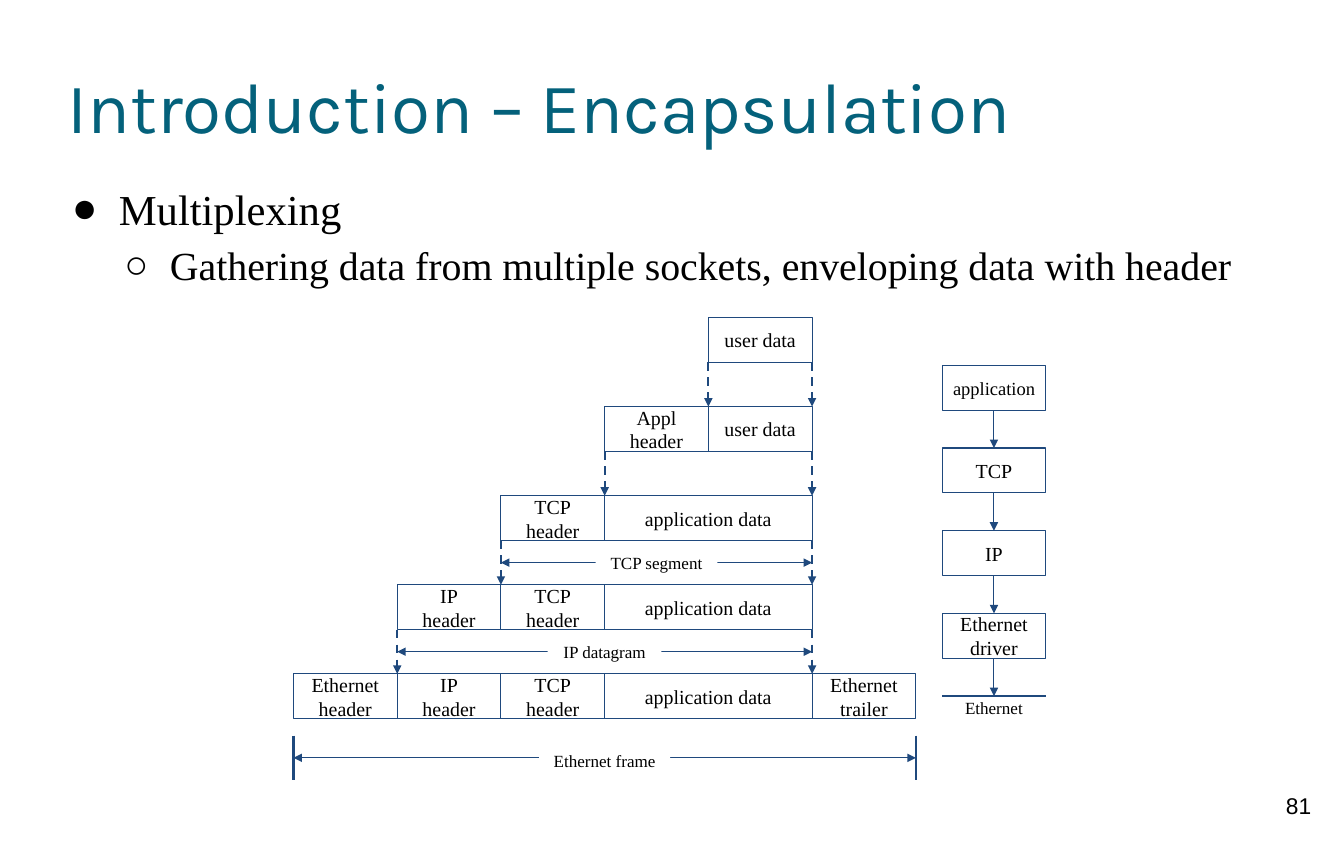
from lxml.etree import SubElement
from pptx import Presentation
from pptx.dml.color import RGBColor
from pptx.enum.dml import MSO_LINE
from pptx.enum.shapes import MSO_CONNECTOR, MSO_SHAPE
from pptx.enum.text import MSO_ANCHOR, PP_ALIGN
from pptx.oxml.ns import qn
from pptx.util import Pt

COLOURS = {"title": "04617B", "text": "000000", "line": "1F497D", "paper": "FFFFFF"}
SERIF = "Times New Roman"
INSET = 7.2

# Grid of the packet layers
GRID_LEFT, GRID_TOP = 206.3, 223.2
COLUMN, ROW_STEP, BOX_HEIGHT = 72.9, 62.64, 31.5
DATA_START, DATA_END, FRAME_END = 4, 5, 6
LAYERS = [
    [("user data", 1)],
    [("Appl\nheader", 1), ("user data", 1)],
    [("TCP\nheader", 1), ("application data", 2)],
    [("IP\nheader", 1), ("TCP\nheader", 1), ("application data", 2)],
    [("Ethernet\nheader", 1), ("IP\nheader", 1), ("TCP\nheader", 1),
     ("application data", 2), ("Ethernet\ntrailer", 1)],
]

# Protocol stack on the right
STACK_LEFT, STACK_TOP, STACK_STEP = 662.2, 256.8, 58.15
STACK = [("application", 13), ("TCP", 14), ("IP", 14), ("Ethernet\ndriver", 14)]

BULLETS = [
    {"text": "Multiplexing", "size": 30, "mark": "●", "margin": 36, "hang": 33, "level": 0},
    {"text": "Gathering data from multiple sockets, enveloping data with header",
     "size": 28, "mark": "○", "margin": 72, "hang": 32, "level": 1},
]


def colour(name):
    return RGBColor.from_string(COLOURS[name])


def apply_format(target, values):
    for name, value in values.items():
        setattr(target, name, value)


def set_frame(box, inset=INSET, anchor=MSO_ANCHOR.TOP):
    margins = {f"margin_{side}": Pt(inset) for side in ("left", "top", "right", "bottom")}
    apply_format(box.text_frame, {"word_wrap": True, "vertical_anchor": anchor, **margins})


def write(para, text, size, font=SERIF, ink="text", align=PP_ALIGN.CENTER):
    para.alignment = align
    for number, line in enumerate(text.split("\n")):
        if number:
            para.add_line_break()
        span = para.add_run()
        apply_format(span, {"text": line})
        apply_format(span.font, {"size": Pt(size), "name": font})
        span.font.color.rgb = colour(ink)


def add_text(page, left, top, width, height, text, size, inset=INSET,
             anchor=MSO_ANCHOR.TOP, **style):
    box = page.shapes.add_textbox(Pt(left), Pt(top), Pt(width), Pt(height))
    set_frame(box, inset, anchor)
    write(box.text_frame.paragraphs[0], text, size, **style)


def add_box(page, left, top, width, height, text, size=14, label=False):
    """A framed cell, or a white frameless label that interrupts a line."""
    box = page.shapes.add_shape(MSO_SHAPE.RECTANGLE, Pt(left), Pt(top), Pt(width), Pt(height))
    box.shadow.inherit = False
    if label:
        box.fill.solid()
        box.fill.fore_color.rgb = colour("paper")
        box.line.fill.background()
    else:
        box.fill.background()
        box.line.color.rgb = colour("line")
        box.line.width = Pt(0.75)
    set_frame(box, anchor=MSO_ANCHOR.TOP if label else MSO_ANCHOR.MIDDLE)
    write(box.text_frame.paragraphs[0], text, size)


def add_line(page, start, end, width=0.75, dashed=False, heads=()):
    ends = [Pt(value) for value in (*start, *end)]
    line = page.shapes.add_connector(MSO_CONNECTOR.STRAIGHT, *ends)
    line.line.color.rgb = colour("line")
    line.line.width = Pt(width)
    if dashed:
        line.line.dash_style = MSO_LINE.DASH
    properties = line._element.spPr
    for head in heads:
        SubElement(properties.find(qn("a:ln")), qn(f"a:{head}"), type="triangle")
    SubElement(properties, qn("a:effectLst"))


def add_bullets(page):
    box = page.shapes.add_textbox(Pt(47.5), Pt(123.1), Pt(852.5), Pt(75.6))
    set_frame(box, inset=0)
    frame = box.text_frame
    for number, item in enumerate(BULLETS):
        para = frame.add_paragraph() if number else frame.paragraphs[0]
        apply_format(para, {"level": item["level"], "line_spacing": 1.15})
        properties = para._p.get_or_add_pPr()
        properties.set("marL", str(Pt(item["margin"])))
        properties.set("indent", str(-Pt(item["hang"])))
        tint = SubElement(properties, qn("a:buClr"))
        SubElement(tint, qn("a:srgbClr"), val=COLOURS["text"])
        SubElement(properties, qn("a:buFont"), typeface=SERIF)
        SubElement(properties, qn("a:buChar"), char=item["mark"])
        write(para, item["text"], item["size"], align=PP_ALIGN.LEFT)


def column_x(column):
    return GRID_LEFT + column * COLUMN


def row_y(row):
    return GRID_TOP + row * ROW_STEP


def add_layers(page):
    for row, cells in enumerate(LAYERS):
        first = column = DATA_START - row
        for text, columns in cells:
            add_box(page, column_x(column), row_y(row), columns * COLUMN, BOX_HEIGHT, text)
            column += columns
        # Dashed arrows down to the next layer
        if row < len(LAYERS) - 1:
            for edge in (first, DATA_END):
                add_line(page, (column_x(edge), row_y(row) + BOX_HEIGHT),
                         (column_x(edge), row_y(row + 1)), 1.5, True, ["tailEnd"])


def add_range(page, first, last, y, text, width, rise=14.4):
    left, right = column_x(first), column_x(last)
    add_line(page, (left, y), (right, y), heads=["headEnd", "tailEnd"])
    add_box(page, (left + right - width) / 2, y - rise, width, 28.8, text, 12, label=True)


def add_ranges(page):
    middle = (ROW_STEP + BOX_HEIGHT) / 2
    add_range(page, 2, DATA_END, row_y(2) + middle, "TCP segment", 85.7)
    add_range(page, 1, DATA_END, row_y(3) + middle, "IP datagram", 80)
    for edge in (0, FRAME_END):
        add_line(page, (column_x(edge), 517.2), (column_x(edge), 548.4), 1.5)
    add_range(page, 0, FRAME_END, 532.8, "Ethernet frame", 92.2, rise=12.2)


def add_stack(page):
    centre = STACK_LEFT + COLUMN / 2
    for number, (text, size) in enumerate(STACK):
        top = STACK_TOP + number * STACK_STEP
        add_box(page, STACK_LEFT, top, COLUMN, BOX_HEIGHT, text, size)
        add_line(page, (centre, top + BOX_HEIGHT), (centre, top + STACK_STEP),
                 heads=["tailEnd"])
    wire = STACK_TOP + len(STACK) * STACK_STEP
    add_line(page, (STACK_LEFT, wire), (STACK_LEFT + COLUMN, wire), 1.5)
    add_text(page, centre - 40, 483.1, 80, 28.8, "Ethernet", 12)


def main():
    deck = Presentation()
    apply_format(deck, {"slide_width": Pt(944.64), "slide_height": Pt(595.44)})
    page = deck.slides.add_slide(deck.slide_layouts[6])
    # Heading, bullets and page number
    add_text(page, 47.5, 23.8, 850.3, 99.4, "Introduction – Encapsulation", 50, inset=0,
             anchor=MSO_ANCHOR.MIDDLE, font="Karla", ink="title", align=PP_ALIGN.LEFT)
    add_bullets(page)
    add_text(page, 884.2, 549.4, 56.9, 45.4, "81", 16, font="Arial")
    # Diagram
    add_layers(page)
    add_ranges(page)
    add_stack(page)
    deck.save("out.pptx")


if __name__ == "__main__":
    main()
